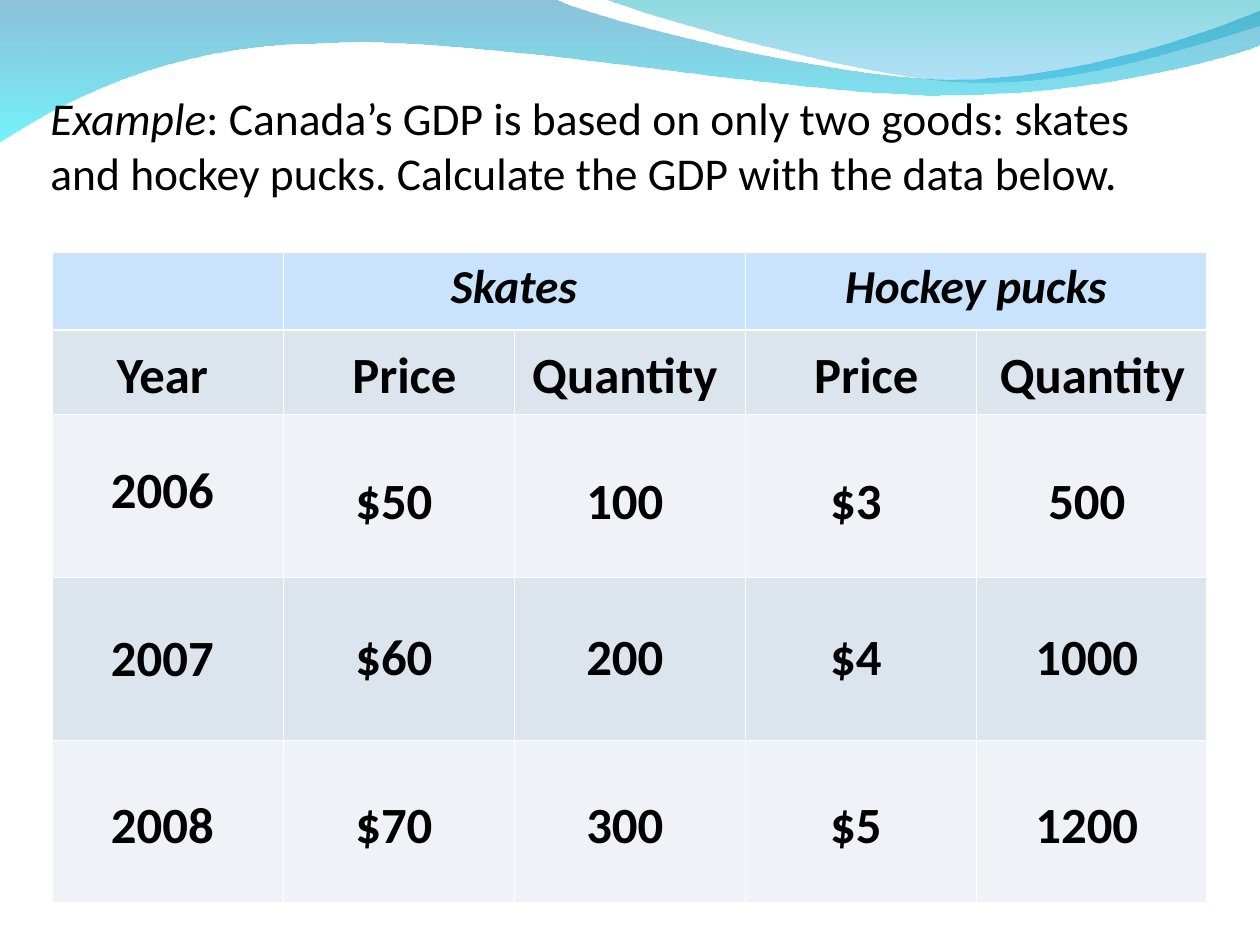
from lxml.etree import SubElement
from pptx import Presentation
from pptx.dml.color import RGBColor
from pptx.enum.text import MSO_AUTO_SIZE, PP_ALIGN
from pptx.oxml.ns import qn
from pptx.util import Pt

PX = 7257  # EMU per px, 126 px to the inch
COLORS = {
    "text": "000000", "rule": "FFFFFF",
    "header": "C8E3FB", "band": "DCE5EE", "plain": "EFF3F7",
    "deep": "0079AF", "aqua": "00EBF8", "teal": "00ADB6", "sky": "009BE5",
}

# Each step is one point for a line, or three for a cubic curve
WIDE_WAVE = [
    [(0, -1)], [(554, -1)],
    [(600, 21), (837, 79), (955, 79)], [(1075, 79), (1207, 33), (1260, 11)],
    [(1261, 45)],
    [(1238, 55), (1096, 96), (940, 95)], [(783, 95), (481, 35), (324, 43)],
    [(163, 44), (58, 105), (-1, 142)], [(0, -1)],
]
RIGHT_WAVE = [
    [(604, -1)],
    [(641, 14), (859, 78), (969, 82)], [(1079, 87), (1211, 40), (1260, 26)],
    [(1260, 0)], [(604, -1)],
]

COLUMN_WIDTH = 231
ROW_HEIGHTS = [78, 84, 163, 163, 163]
ROW_FILLS = ["header", "band", "plain", "band", "plain"]

# Heading, its left and width, then left and width of the values
COLUMNS = [
    ("Year", 63, 199, 63, 199, ["2006", "2007", "2008"]),
    ("Price", 305, 199, 326, 136, ["$50", "$60", "$70"]),
    ("Quantity", 504, 242, 557, 136, ["100", "200", "300"]),
    ("Price", 767, 199, 788, 136, ["$3", "$4", "$5"]),
    ("Quantity", 977, 231, 1019, 136, ["500", "1000", "1200"]),
]
HEADING_TOP = 337
YEAR_TOPS = [452, 620, 787]
VALUE_TOPS = [463, 619, 787]


def px(*lengths):
    return [length * PX for length in lengths]


def color(name):
    return RGBColor.from_string(COLORS[name])


def write_text(frame, text, size=29, bold=False, italic=False, align=None):
    paragraph = frame.paragraphs[0]
    if align is not None:
        paragraph.alignment = align
    run = paragraph.add_run()
    run.text = text
    font = run.font
    font.name, font.size = "Calibri", Pt(size)
    font.bold, font.italic = bold, italic
    font.color.rgb = color("text")


def add_box(slide, left, top, width, height, grow=False):
    frame = slide.shapes.add_textbox(*px(left, top, width, height)).text_frame
    frame.word_wrap = True
    if grow:
        frame.auto_size = MSO_AUTO_SIZE.SHAPE_TO_FIT_TEXT
    return frame


def bend_segments(wave, steps):
    """Turn the three lines of each curve step into one cubic curve."""
    segments = iter(list(wave.element.spPr.iter(qn("a:moveTo"), qn("a:lnTo"))))
    for step in steps:
        first, *others = [next(segments) for _ in step]
        if others:
            curve = first.makeelement(qn("a:cubicBezTo"))
            first.addprevious(curve)
            for segment in [first, *others]:
                curve.append(segment[0])
                segment.getparent().remove(segment)


def add_wave(slide, steps, stops):
    start, *rest = [point for step in steps for point in step]
    builder = slide.shapes.build_freeform(*start, scale=PX)
    builder.add_line_segments(rest, close=True)
    wave = builder.convert_to_shape()
    bend_segments(wave, steps)
    wave.shadow.inherit = False
    wave.line.fill.background()
    wave.fill.gradient()
    wave.fill.gradient_angle = 270
    for stop, (name, _) in zip(wave.fill.gradient_stops, stops):
        stop.color.rgb = color(name)
    tints = wave.element.spPr.find(qn("a:gradFill")).iter(qn("a:srgbClr"))
    for tint, (_, opacity) in zip(tints, stops):
        SubElement(tint, qn("a:alpha"), val=str(opacity * 1000))


def set_border(cell, side, points):
    line = SubElement(cell._tc.get_or_add_tcPr(), qn(f"a:ln{side}"), w=str(Pt(points)))
    SubElement(SubElement(line, qn("a:solidFill")), qn("a:srgbClr"), val=COLORS["rule"])


def add_grid(slide):
    size = px(52, 252, COLUMN_WIDTH * len(COLUMNS), sum(ROW_HEIGHTS))
    grid = slide.shapes.add_table(len(ROW_HEIGHTS), len(COLUMNS), *size).table
    grid.horz_banding = grid.first_row = False
    for column in grid.columns:
        column.width = COLUMN_WIDTH * PX
    for r, (height, fill) in enumerate(zip(ROW_HEIGHTS, ROW_FILLS)):
        grid.rows[r].height = height * PX
        heavy_side = {0: "B", 1: "T"}.get(r)
        for c in range(len(COLUMNS)):
            cell = grid.cell(r, c)
            for side in "LRTB":
                set_border(cell, side, 1.47 if side == heavy_side else 0.45)
            cell.fill.solid()
            cell.fill.fore_color.rgb = color(fill)
    for c, goods in [(1, "Skates"), (3, "Hockey pucks")]:
        header = grid.cell(0, c)
        header.merge(grid.cell(0, c + 1))
        write_text(header.text_frame, goods, size=27, bold=True, italic=True,
                   align=PP_ALIGN.CENTER)


def add_label(slide, text, left, top, width):
    frame = add_box(slide, left, top, width, 74, grow=True)
    write_text(frame, text, bold=True, align=PP_ALIGN.CENTER)


def main():
    deck = Presentation()
    deck.slide_width, deck.slide_height = px(1260, 945)
    slide = deck.slides.add_slide(deck.slide_layouts[6])

    # Waves along the top
    add_wave(slide, WIDE_WAVE, [("deep", 45), ("aqua", 55)])
    add_wave(slide, RIGHT_WAVE, [("teal", 45), ("sky", 30)])

    # Question
    question = add_box(slide, 0, 84, 1207, 620)
    question.paragraphs[0]._p.get_or_add_pPr().set("marL", str(38 * PX))
    write_text(question, "Example", size=26, italic=True)
    write_text(question, ": Canada’s GDP is based on only two goods: skates and "
               "hockey pucks. Calculate the GDP with the data below.", size=26)

    # Table, with headings and values laid over it
    add_grid(slide)
    for heading, left, width, value_left, value_width, values in COLUMNS:
        add_label(slide, heading, left, HEADING_TOP, width)
        tops = YEAR_TOPS if heading == "Year" else VALUE_TOPS
        for value, top in zip(values, tops):
            add_label(slide, value, value_left, top, value_width)

    deck.save("out.pptx")


if __name__ == "__main__":
    main()
